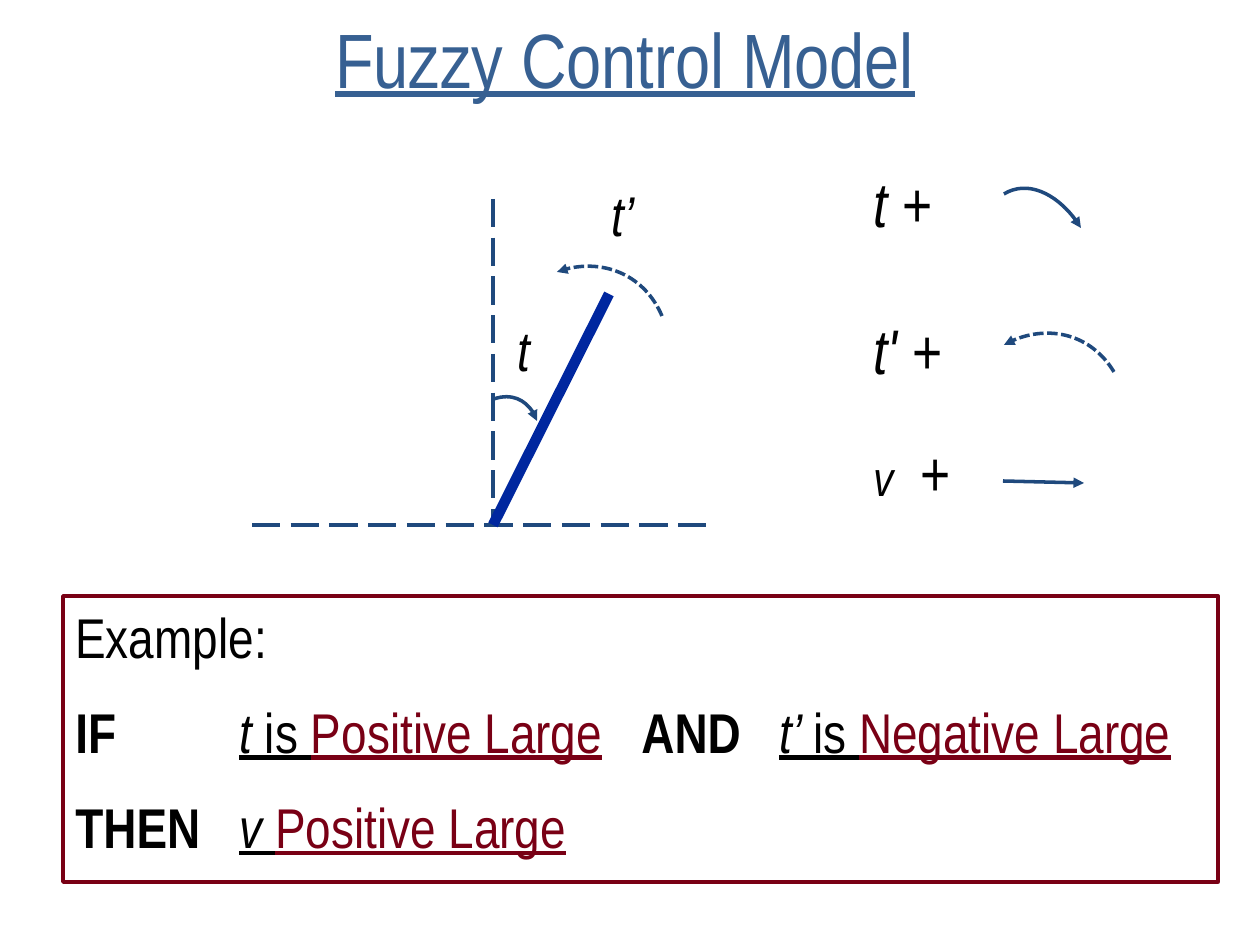
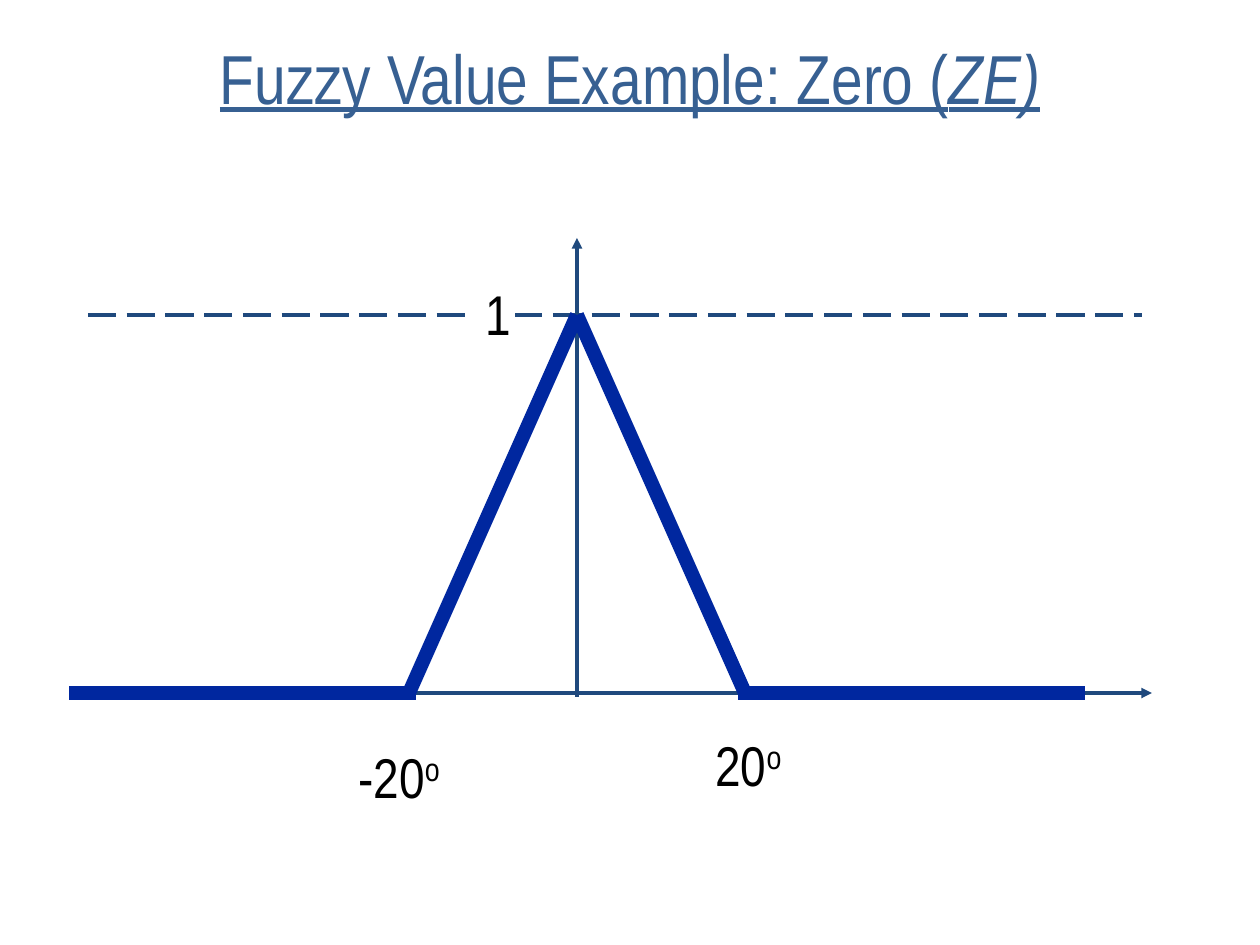
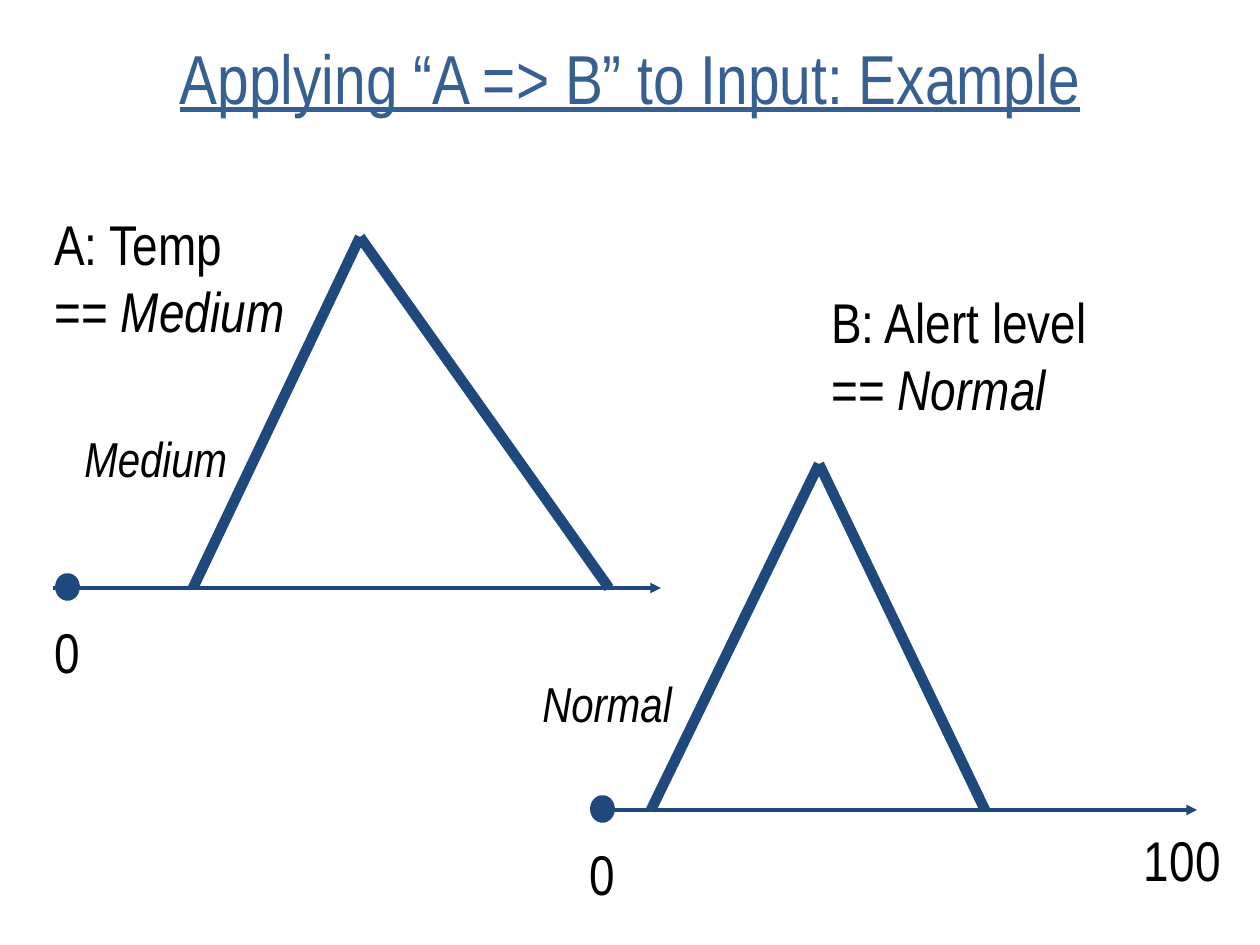
import pptx
import pptx.util
import pptx.dml.color
import pptx.enum.dml
import pptx.enum.shapes
import pptx.enum.text
import pptx.oxml.ns
import lxml.etree

EMU_PER_PX = 914400 / 126
FONT = "Arial Narrow"
COLORS = {"title": "376092", "line": "1F497D", "bold_line": "00279F",
          "accent": "790015", "text": "000000", "white": "FFFFFF"}
DASH = pptx.enum.dml.MSO_LINE.LONG_DASH
DOTS = pptx.enum.dml.MSO_LINE.SQUARE_DOT
ALIGN = pptx.enum.text.PP_ALIGN
ANCHOR = pptx.enum.text.MSO_ANCHOR
SHAPE = pptx.enum.shapes.MSO_SHAPE
qn = pptx.oxml.ns.qn


def px(n):
    """Turn pixels into EMU."""
    return pptx.util.Emu(round(n * EMU_PER_PX))


def rgb(name):
    """Look up a named colour."""
    return pptx.dml.color.RGBColor.from_string(COLORS[name])


def stroke(sp, color="line", width=2, dash=None, arrow=False):
    """Style an outline, with an optional arrowhead at its end."""
    sp.line.color.rgb = rgb(color)
    sp.line.width = pptx.util.Pt(width)
    if dash is not None:
        sp.line.dash_style = dash
    if arrow:
        ln = sp._element.spPr.get_or_add_ln()
        lxml.etree.SubElement(ln, qn("a:tailEnd"), type="triangle")


def line(s, x1, y1, x2, y2, **style):
    """Draw a straight line."""
    kind = pptx.enum.shapes.MSO_CONNECTOR.STRAIGHT
    sp = s.shapes.add_connector(kind, px(x1), px(y1), px(x2), px(y2))
    stroke(sp, **style)
    lxml.etree.SubElement(sp._element.spPr, qn("a:effectLst"))


def arc(s, x, y, points, **style):
    """Draw a Bezier arrow through four points relative to x, y."""
    pts = [(px(x + dx), px(y + dy)) for dx, dy in points]
    builder = s.shapes.build_freeform(*pts[0])
    builder.add_line_segments(pts[1:], close=False)
    sp = builder.convert_to_shape()
    outline = sp._element.find(".//" + qn("a:path"))
    curve = lxml.etree.SubElement(outline, qn("a:cubicBezTo"))
    for segment in outline.findall(qn("a:lnTo")):
        curve.append(segment[0])
        outline.remove(segment)
    sp.fill.background()
    sp.shadow.inherit = False
    stroke(sp, arrow=True, **style)


def write(p, runs, size, align=ALIGN.LEFT):
    """Fill a paragraph with (text, style letters, colour) runs."""
    p.alignment = align
    for text, style, color in runs:
        if text == "\n":
            p.add_line_break()
            continue
        r = p.add_run()
        r.text = text
        r.font.name, r.font.size = FONT, pptx.util.Pt(size)
        r.font.color.rgb = rgb(color)
        r.font.bold, r.font.italic = "b" in style, "i" in style
        r.font.underline = "u" in style
        if "^" in style:
            r._r.get_or_add_rPr().set("baseline", "30000")


def label(s, x, y, w, h, *runs, size=32, align=ALIGN.LEFT, wrap=True):
    """Add a text box of black (text, style letters) runs."""
    sp = s.shapes.add_textbox(px(x), px(y), px(w), px(h))
    sp.text_frame.word_wrap = wrap
    write(sp.text_frame.paragraphs[0], [(t, st, "text") for t, st in runs], size, align)
    return sp


def title(s, x, y, w, h, *runs, size=39.6):
    """Add the underlined, centred slide title."""
    tf = s.shapes.add_textbox(px(x), px(y), px(w), px(h)).text_frame
    tf.word_wrap = True
    tf.vertical_anchor = ANCHOR.MIDDLE
    write(tf.paragraphs[0], [(t, st + "u", "title") for t, st in runs], size, ALIGN.CENTER)


def pendulum(s, x, y):
    """Draw the tilted rod with its angle and angular speed."""
    pivot_x, pivot_y = x + 241, y + 351
    line(s, pivot_x, y + 25, pivot_x, pivot_y - 3, dash=DASH)
    line(s, x, pivot_y, x + 461, pivot_y, dash=DASH)
    line(s, pivot_x, pivot_y, x + 357, y + 120, color="bold_line", width=6)
    arc(s, x, y, [(242, 225), (260, 219), (280, 229), (285, 247)])
    arc(s, x, y, [(410, 142), (393, 102), (347, 82), (305, 98)], dash=DOTS)
    label(s, x + 253, y + 135, 52, 81, ("t", "i"))
    label(s, x + 347, y, 83, 81, ("t’", "i"))


def sign_legend(s, x, y):
    """Show the positive direction of each variable."""
    label(s, x, y, 136, 96, ("t ", "i"), ("+", ""), size=36)
    arc(s, x, y, [(143, 36), (166, 22), (200, 37), (220, 70)])
    label(s, x, y + 147, 136, 96, ("t' ", "i"), ("+", ""), size=36)
    arc(s, x, y, [(253, 214), (230, 176), (181, 165), (143, 187)], dash=DOTS)
    label(s, x, y + 283, 63, 72, ("v", "i"), size=28)
    label(s, x + 47, y + 269, 73, 88, ("+", ""), size=36)
    line(s, x + 142, y + 323, x + 223, y + 325, arrow=True)


def rule_box(s, x, y, w, h):
    """Frame the example rule, with its clauses set on tab stops."""
    sp = s.shapes.add_shape(SHAPE.RECTANGLE, px(x), px(y), px(w), px(h))
    sp.shadow.inherit = False
    sp.fill.background()
    stroke(sp, color="accent")
    tf = sp.text_frame
    tf.word_wrap = True
    tf.vertical_anchor = ANCHOR.TOP
    rows = [
        [("Example:", "", "text")],
        [("IF\t", "b", "text"), ("t", "iu", "text"), (" is ", "u", "text"),
         ("Positive Large", "u", "accent"), ("\tAND\t", "b", "text"),
         ("t’ ", "iu", "text"), ("is ", "u", "text"), ("Negative Large", "u", "accent")],
        [("THEN\t", "b", "text"), ("v ", "iu", "text"), ("Positive Large", "u", "accent")],
    ]
    for i, runs in enumerate(rows):
        p = tf.paragraphs[0] if i == 0 else tf.add_paragraph()
        write(p, runs, 32)
        if i:
            p.space_before = pptx.util.Pt(16)
            tabs = lxml.etree.SubElement(p._p.get_or_add_pPr(), qn("a:tabLst"))
            for stop in (164, 566, 704):
                lxml.etree.SubElement(tabs, qn("a:tab"), pos=str(px(stop)), algn="l")


def zero_plot(s, x, y):
    """Plot the membership function of the value zero."""
    center, top, base = x + 508, y + 77, y + 455
    line(s, x + 8, base, x + 1083, base, arrow=True)
    line(s, center, base + 4, center, y, arrow=True)
    line(s, x + 19, top, x + 1073, top, dash=DASH)
    one = label(s, x + 404, y + 35, 42, 81, ("1", ""))
    one.fill.solid()
    one.fill.fore_color.rgb = rgb("white")
    for side in (-1, 1):
        line(s, center, top, center + side * 168, base, color="bold_line", width=8)
        line(s, center + side * 161, base, center + side * 508, base,
             color="bold_line", width=8)
    label(s, x + 277, y + 498, 168, 81, ("-20", ""), ("o", "^"))
    label(s, x + 634, y + 486, 168, 81, ("20", ""), ("o", "^"))


def fuzzy_set(s, x, y, axis, feet, peak, name, name_box, heading, heading_box):
    """Plot a triangular fuzzy set whose axis has its zero at x, y."""
    line(s, x + axis[0], y, x + axis[1], y, arrow=True)
    for foot in feet:
        line(s, x + foot, y, x + peak[0], y - peak[1], width=6)
    dot = s.shapes.add_shape(SHAPE.OVAL, px(x - 6), px(y - 8), px(11), px(14))
    dot.shadow.inherit = False
    dot.fill.background()
    stroke(dot, width=8)
    label(s, x - 26, y + 23, 73, 81, ("0", ""))
    dx, dy, w, h = name_box
    label(s, x + dx, y + dy, w, h, (name, "i"), size=28, wrap=False)
    dx, dy, w, h = heading_box
    label(s, x + dx, y + dy, w, h, (heading, ""), ("\n", ""), ("== ", ""), (name, "i"))


def main():
    """Build the three slides and save them."""
    prs = pptx.Presentation()
    prs.slide_width, prs.slide_height = px(1260), px(945)
    control, zero, applying = [prs.slides.add_slide(prs.slide_layouts[6]) for _ in range(3)]
    title_box = (63, 38, 1134, 78)

    title(control, 0, 0, 1250, 116, ("Fuzzy Control Model", ""), size=44)
    pendulum(control, 252, 174)
    sign_legend(control, 861, 158)
    rule_box(control, 63, 596, 1155, 286)

    title(zero, *title_box, ("Fuzzy Value Example: Zero (", ""), ("ZE)", "i"))
    zero_plot(zero, 69, 238)

    title(applying, *title_box, ("Applying “A => B” to Input: Example", ""))
    fuzzy_set(applying, 68, 588, (-15, 593), (125, 541), (292, 351),
              "Medium", (4, -166, 170, 72), "A: Temp", (-26, -385, 260, 149))
    fuzzy_set(applying, 603, 810, (3, 594), (48, 382), (216, 346),
              "Normal", (-73, -143, 156, 72), "B: Alert level", (216, -529, 315, 149))
    label(applying, 1091, 819, 142, 81, ("100", ""), align=ALIGN.RIGHT)

    prs.save("out.pptx")


if __name__ == "__main__":
    main()
